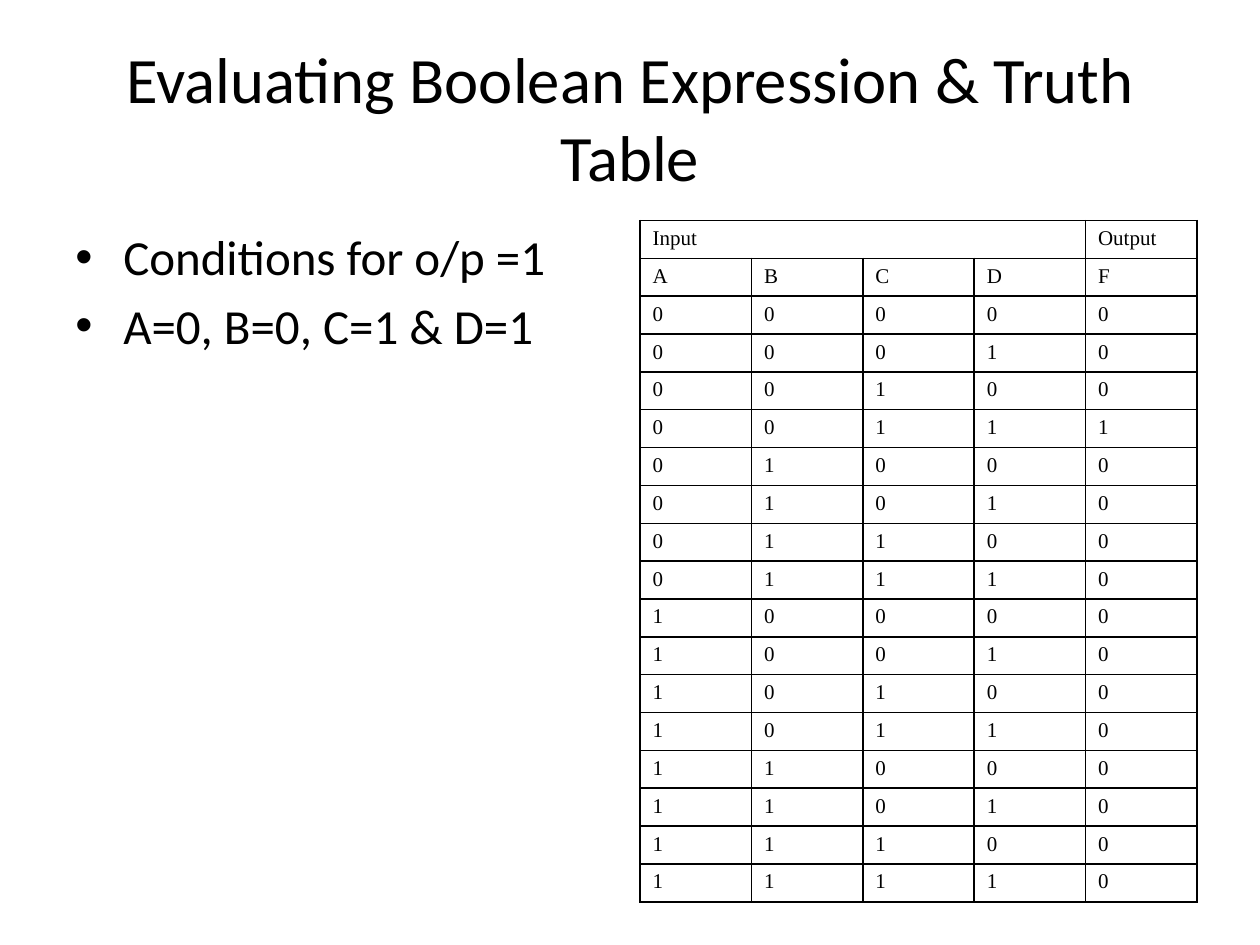
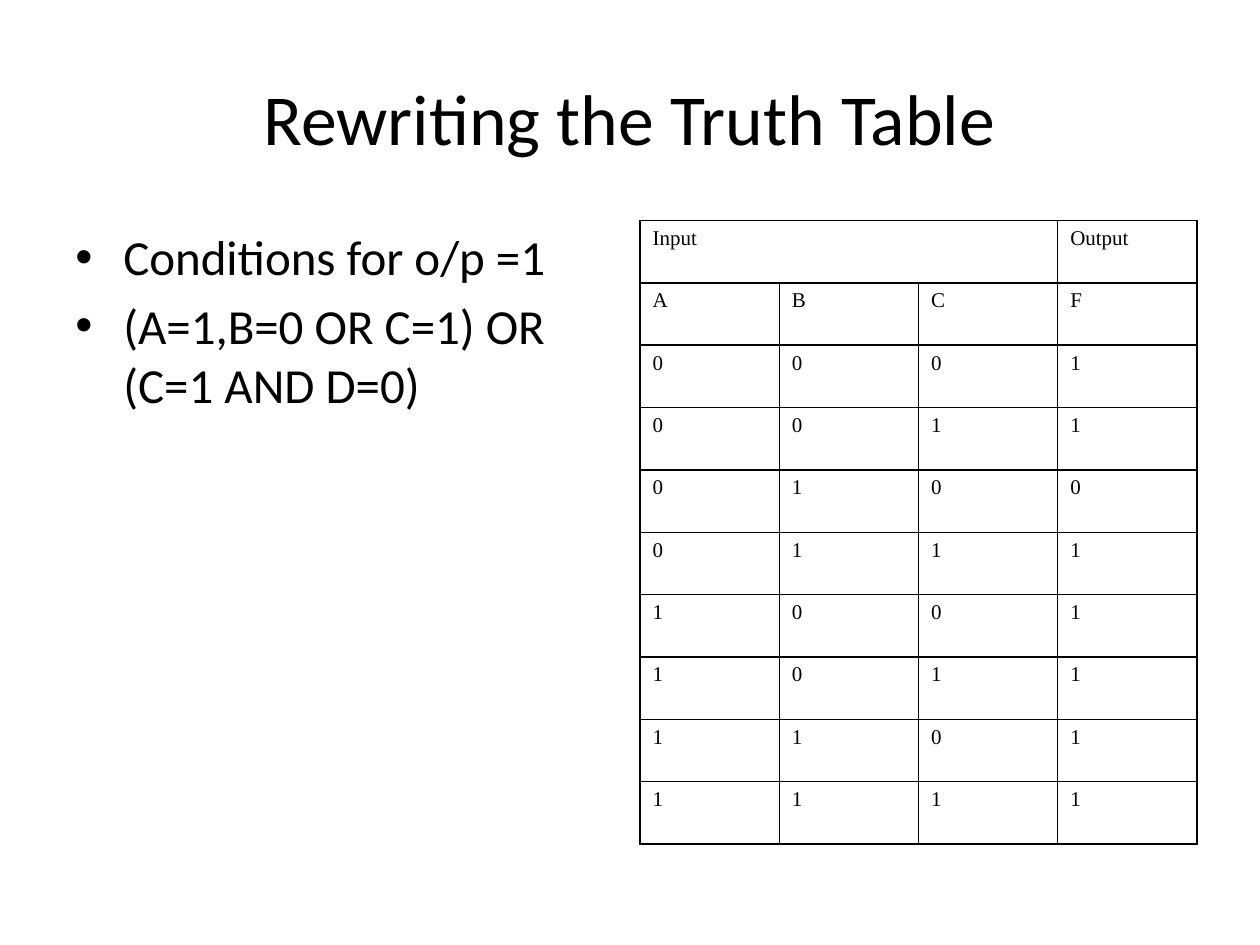
"""Build two slides that pair bulleted conditions with a truth table."""
from itertools import product

from lxml import etree
from pptx import Presentation
from pptx.dml.color import RGBColor
from pptx.enum.text import MSO_ANCHOR, MSO_AUTO_SIZE, PP_ALIGN
from pptx.oxml.ns import qn
from pptx.util import Inches, Pt

SLIDES = [
    {
        "title": "Evaluating Boolean Expression & Truth Table",
        "title_size": 37,
        "conditions": ["Conditions for o/p =1", "A=0, B=0, C=1 & D=1"],
        "inputs": "ABCD",
        "outputs": "0001000000000000",
        "table_height": 5.41,
    },
    {
        "title": "Rewriting the Truth Table",
        "title_size": 41,
        "conditions": ["Conditions for o/p =1", "(A=1,B=0 OR C=1) OR (C=1 AND D=0)"],
        "inputs": "ABC",
        "outputs": "11011111",
        "table_height": 4.95,
    },
]

BLACK = RGBColor(0x00, 0x00, 0x00)
WHITE = RGBColor(0xFF, 0xFF, 0xFF)
TEXT_FONT = "Calibri"
TABLE_FONT = "Times New Roman"
CENTER = PP_ALIGN.CENTER
JUSTIFY = PP_ALIGN.JUSTIFY
MIDDLE = MSO_ANCHOR.MIDDLE
TOP = MSO_ANCHOR.TOP
NO_AUTOFIT = MSO_AUTO_SIZE.NONE

TITLE_ONLY = 5
TITLE_AREA = (0.5, 0.3, 9, 1.25)
CONDITIONS_AREA = (0.5, 1.75, 4.42, 4.95)
TABLE_LEFT, TABLE_TOP, TABLE_WIDTH = 5.08, 1.75, 4.42
BULLET_INDENT = Inches(0.38)


def add_span(para, text, font_name, size):
    span = para.add_run()
    span.text = text
    span.font.name = font_name
    span.font.size = Pt(size)
    span.font.color.rgb = BLACK


def prepare_frame(frame, anchor):
    frame.word_wrap = True
    frame.auto_size = NO_AUTOFIT
    frame.vertical_anchor = anchor
    frame.margin_left = frame.margin_right = Inches(0.1)
    frame.margin_top = frame.margin_bottom = Inches(0.05)


def add_title(page, text, size):
    title = page.shapes.title
    title.left, title.top, title.width, title.height = map(Inches, TITLE_AREA)
    prepare_frame(title.text_frame, MIDDLE)
    para = title.text_frame.paragraphs[0]
    para.alignment = CENTER
    add_span(para, text, TEXT_FONT, size)


def add_bullet(para):
    properties = para._p.get_or_add_pPr()
    properties.set("marL", str(BULLET_INDENT))
    properties.set("indent", str(-BULLET_INDENT))
    etree.SubElement(properties, qn("a:buFont"), typeface="Arial")
    etree.SubElement(properties, qn("a:buChar"), char="•")


def add_conditions(page, conditions):
    box = page.shapes.add_textbox(*map(Inches, CONDITIONS_AREA))
    frame = box.text_frame
    prepare_frame(frame, TOP)
    for index, condition in enumerate(conditions):
        para = frame.add_paragraph() if index else frame.paragraphs[0]
        add_bullet(para)
        if index:
            para.space_before = Pt(5.6)
        add_span(para, condition, TEXT_FONT, 28)


def add_borders(cell):
    properties = cell._tc.get_or_add_tcPr()
    for position, side in enumerate(("lnL", "lnR", "lnT", "lnB")):
        line = etree.Element(qn(f"a:{side}"), w=str(Pt(1)))
        fill = etree.SubElement(line, qn("a:solidFill"))
        etree.SubElement(fill, qn("a:srgbClr"), val=str(BLACK))
        properties.insert(position, line)


def add_truth_table(page, inputs, outputs, height):
    states = product("01", repeat=len(inputs))
    rows = [["Input", *[""] * (len(inputs) - 1), "Output"], [*inputs, "F"]]
    rows += [[*state, output] for state, output in zip(states, outputs)]
    column_count = len(inputs) + 1
    table = page.shapes.add_table(
        len(rows), column_count, Inches(TABLE_LEFT), Inches(TABLE_TOP),
        Inches(TABLE_WIDTH), Inches(height)).table
    table.first_row = table.horz_banding = False
    for column in table.columns:
        column.width = Inches(TABLE_WIDTH / column_count)
    for row_index, values in enumerate(rows):
        table.rows[row_index].height = Inches(height / len(rows))
        for column_index, value in enumerate(values):
            cell = table.cell(row_index, column_index)
            cell.fill.background()
            add_borders(cell)
            if value:
                para = cell.text_frame.paragraphs[0]
                para.alignment = JUSTIFY
                add_span(para, value, TABLE_FONT, 12)
    table.cell(0, 0).merge(table.cell(0, len(inputs) - 1))


def main():
    deck = Presentation()
    deck.slide_width, deck.slide_height = Inches(10), Inches(7.5)
    background = deck.slide_master.background.fill
    background.solid()
    background.fore_color.rgb = WHITE
    for content in SLIDES:
        page = deck.slides.add_slide(deck.slide_layouts[TITLE_ONLY])
        add_title(page, content["title"], content["title_size"])
        add_conditions(page, content["conditions"])
        add_truth_table(page, content["inputs"], content["outputs"],
                        content["table_height"])
    deck.save("out.pptx")


if __name__ == "__main__":
    main()
